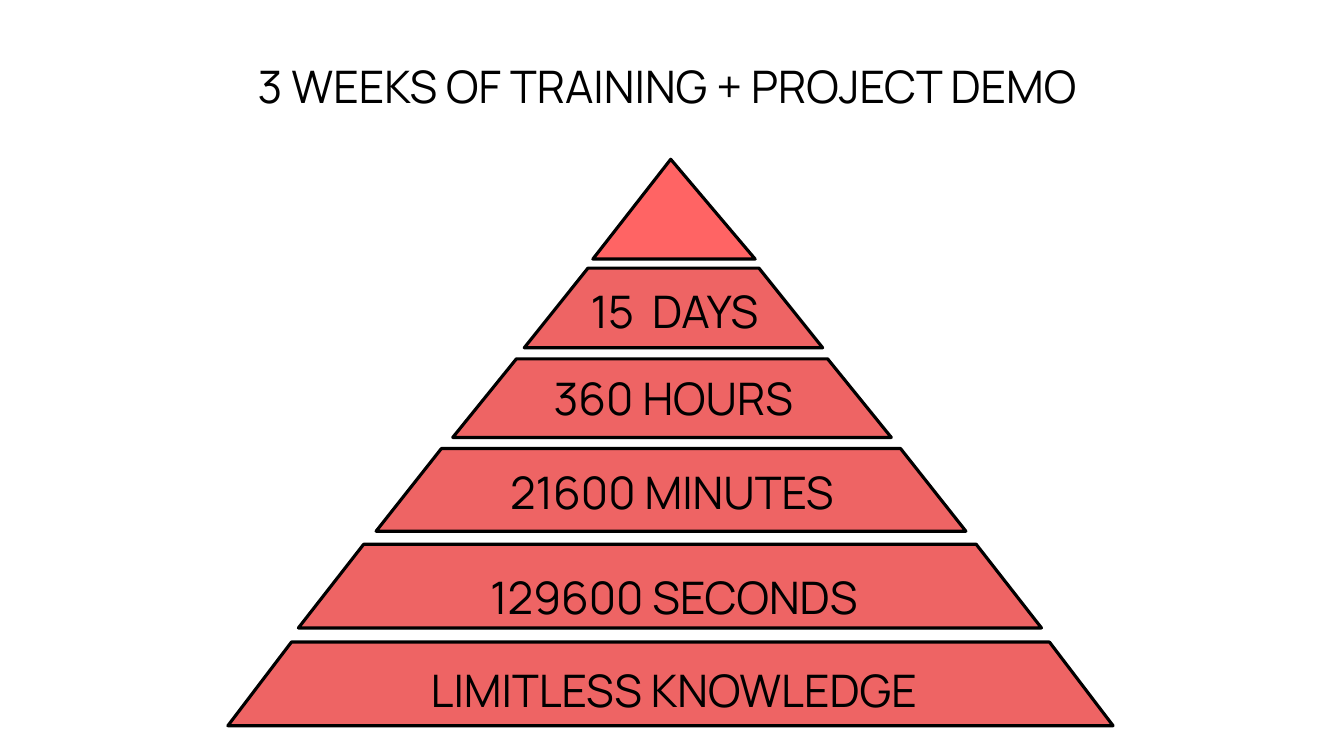
import pptx
import pptx.dml.color
import pptx.enum.shapes
import pptx.enum.text
import pptx.util

Inches = pptx.util.Inches
Shape = pptx.enum.shapes.MSO_SHAPE
Anchor = pptx.enum.text.MSO_ANCHOR
AutoSize = pptx.enum.text.MSO_AUTO_SIZE

COLOURS = {"ink": "000000", "tier": "EE6464", "peak": "FF6464"}


class PyramidSlide:
    font_name = "Manrope"
    font_size = pptx.util.Pt(32)
    outline_width = pptx.util.Pt(2.25)

    def __init__(self, deck):
        self.slide = deck.slides.add_slide(deck.slide_layouts[5])

    def colour(self, name):
        return pptx.dml.color.RGBColor.from_string(COLOURS[name])

    def set_wording(self, frame, wording, insets, anchor, spacing, auto_size):
        frame.text = wording
        frame.word_wrap = True
        frame.auto_size = auto_size
        frame.vertical_anchor = anchor
        (frame.margin_left, frame.margin_top,
         frame.margin_right, frame.margin_bottom) = map(Inches, insets)
        paragraph = frame.paragraphs[0]
        paragraph.alignment = pptx.enum.text.PP_ALIGN.CENTER
        paragraph.line_spacing = spacing
        paragraph.font.name = self.font_name
        paragraph.font.size = self.font_size
        paragraph.font.color.rgb = self.colour("ink")

    def title(self, wording, box):
        heading = self.slide.shapes.title
        heading.left, heading.top, heading.width, heading.height = map(Inches, box)
        self.set_wording(heading.text_frame, wording, (0, 0, 0.09, 0.52),
                         Anchor.MIDDLE, 1.1, AutoSize.NONE)

    def layer(self, preset, box, adjustment, fill):
        tier = self.slide.shapes.add_shape(preset, *map(Inches, box))
        tier.adjustments[0] = adjustment
        tier.shadow.inherit = False
        tier.fill.solid()
        tier.fill.fore_color.rgb = self.colour(fill)
        tier.line.color.rgb = self.colour("ink")
        tier.line.width = self.outline_width

    def label(self, wording, box):
        caption = self.slide.shapes.add_textbox(*map(Inches, box))
        self.set_wording(caption.text_frame, wording, (0.1, 0.05, 0.1, 0.05),
                         Anchor.TOP, 1.0, AutoSize.SHAPE_TO_FIT_TEXT)

    def wide_label(self, wording, top):
        caption = self.slide.shapes.add_textbox(
            *map(Inches, (1.79, top, 9.79, 1.38)))
        self.set_wording(caption.text_frame, wording, (0, 0, 0, 0),
                         Anchor.MIDDLE, 1.1, AutoSize.NONE)


def main():
    deck = pptx.Presentation()
    deck.slide_width = Inches(13.33)
    deck.slide_height = Inches(7.5)

    pyramid = PyramidSlide(deck)
    pyramid.title("3 WEEKS OF TRAINING + PROJECT DEMO", (0, 0.24, 13.33, 1.68))

    pyramid.layer(Shape.ISOSCELES_TRIANGLE, (5.88, 1.58, 1.61, 0.99), 0.48, "peak")
    for box, slope in (
        ((5.2, 2.66, 2.96, 0.79), 0.8),
        ((4.49, 3.56, 4.35, 0.78), 0.81),
        ((3.73, 4.45, 5.85, 0.82), 0.79),
        ((2.96, 5.4, 7.37, 0.83), 0.78),
        ((2.26, 6.37, 8.78, 0.83), 0.76),
    ):
        pyramid.layer(Shape.TRAPEZOID, box, slope, "tier")

    pyramid.label("15  DAYS", (5.48, 2.77, 2.42, 0.64))
    pyramid.label("360 HOURS", (5.2, 3.63, 2.96, 0.64))
    pyramid.label("21600 MINUTES", (4.49, 4.56, 4.35, 0.64))
    pyramid.wide_label("129600 SECONDS", 5.2)
    pyramid.wide_label("LIMITLESS KNOWLEDGE", 6.12)

    deck.save("out.pptx")


if __name__ == "__main__":
    main()
